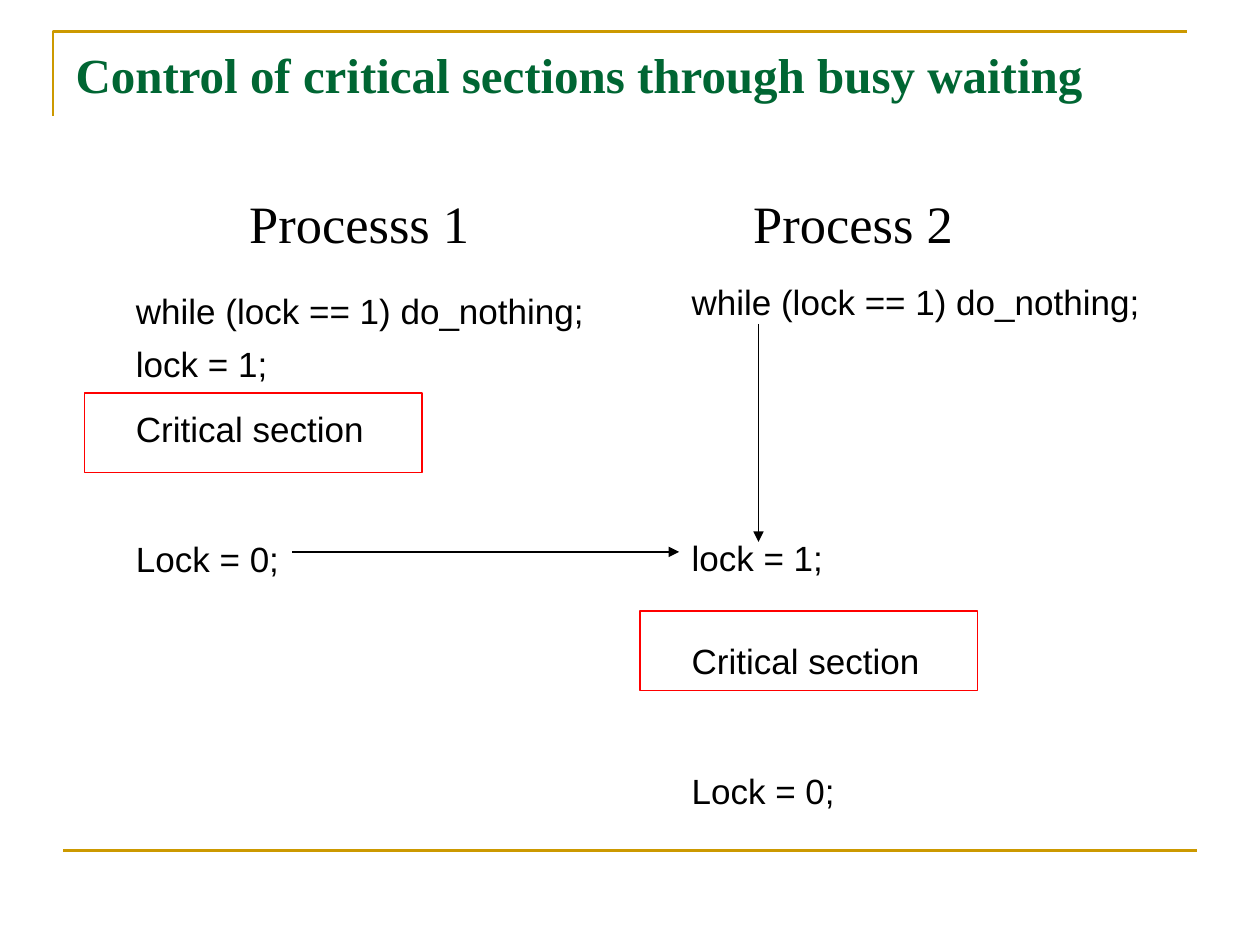
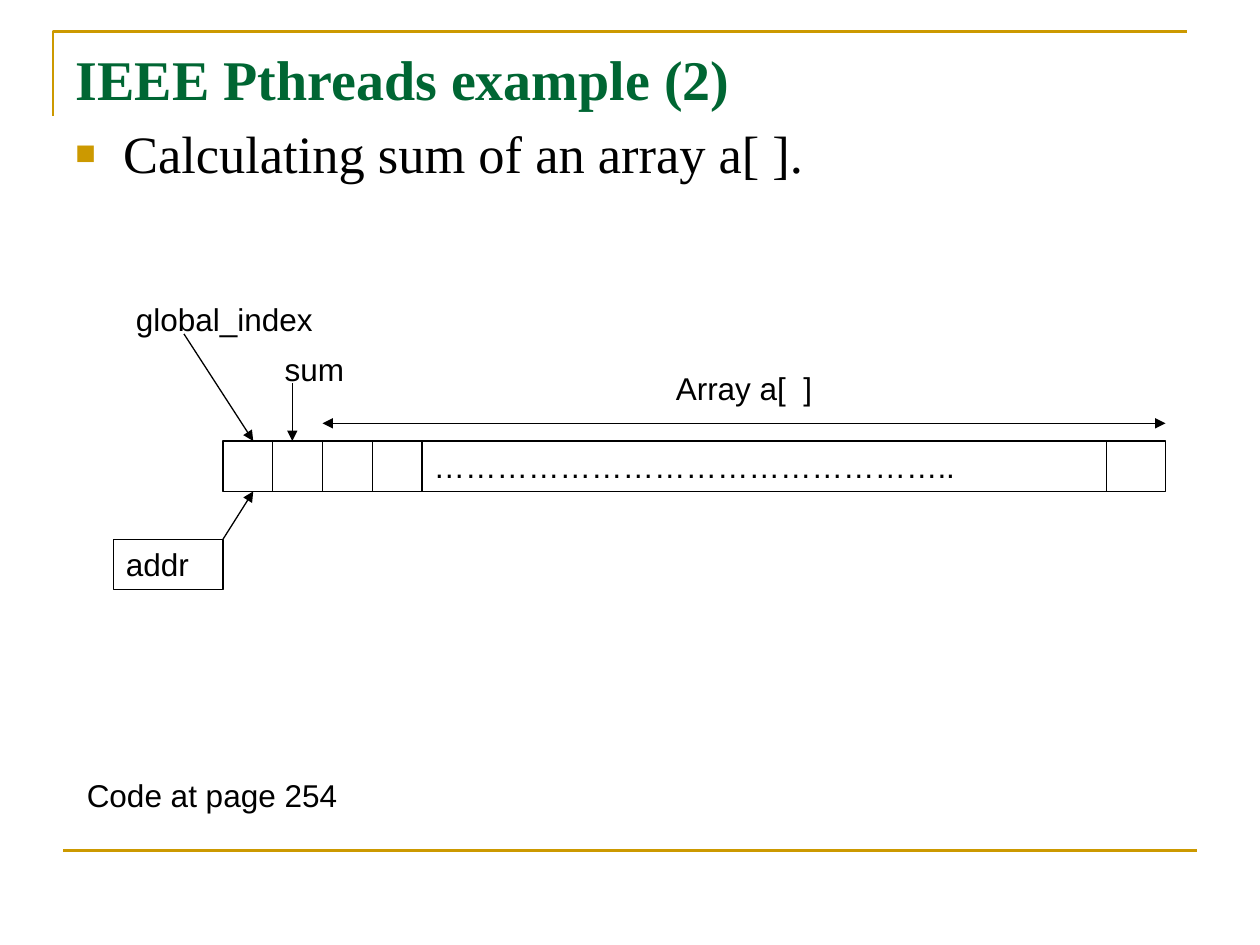
"""Build two slides on busy waiting and on a Pthreads array sum."""
from lxml import etree
from pptx import Presentation
from pptx.dml.color import RGBColor
from pptx.enum.shapes import MSO_CONNECTOR, MSO_SHAPE
from pptx.enum.text import MSO_ANCHOR, MSO_AUTO_SIZE, PP_ALIGN
from pptx.oxml.ns import qn
from pptx.util import Inches, Pt

STRAIGHT = MSO_CONNECTOR.STRAIGHT
RECTANGLE = MSO_SHAPE.RECTANGLE
LEFT, CENTER = PP_ALIGN.LEFT, PP_ALIGN.CENTER
TOP = MSO_ANCHOR.TOP
NO_AUTOFIT = MSO_AUTO_SIZE.NONE

COLORS = {"title": "006633", "accent": "CC9900", "text": "000000", "critical": "FF0000"}
SERIF, SANS = "Times New Roman", "Arial"
SLIDE_WIDTH, SLIDE_HEIGHT = 10, 7.5
MARGIN = SLIDE_WIDTH / 20
CONTENT_WIDTH = SLIDE_WIDTH - 2 * MARGIN
FRAME_LEFT, FRAME_TOP, FRAME_DROP = 0.42, 0.25, 0.67
INSET = 0.1
LABEL_HEIGHT = 0.4

BUSY_WAITING = {
    "title": ("Control of critical sections through busy waiting", 28),
    "processes": [
        {
            "name": "Processs 1", "name_left": 1.88, "left": 0.98, "top": 2.25,
            "height": 3.37, "critical_top": 3.12,
            "code": [("while (lock == 1) do_nothing;", 0), ("lock = 1;", 6),
                     ("Critical section", 13.5), ("Lock = 0;", 50)],
        },
        {
            "name": "Process 2", "name_left": 5.88, "left": 5.39, "top": 2.18,
            "height": 5.28, "critical_top": 4.85,
            "code": [("while (lock == 1) do_nothing;", 0), ("lock = 1;", 122),
                     ("Critical section", 35), ("Lock = 0;", 50)],
        },
    ],
    "arrows": [((2.32, 4.38), (5.39, 4.38)), ((6.02, 2.57), (6.02, 4.3))],
}

ARRAY_SUM = {
    "title": ("IEEE Pthreads example (2)", 32),
    "bullet": "Calculating sum of an array a[ ].",
    "memory": "…………………………………………..",
    "pointer": "addr",
    "array": "Array a[  ]",
    "labels": [("global_index", 0.98, 2.33, 2.12), ("sum", 2.16, 2.73, 1.02),
               ("Code at page 254", 0.59, 6.11, 8.82)],
}
ROW_LEFT, ROW_TOP, ROW_RIGHT = 1.77, 3.5, 9.25
CELL_WIDTH, LAST_CELL_WIDTH = 1.58 / 4, 0.47
POINTER_TOP, POINTER_WIDTH = 4.28, 0.87


def rgb(name):
    return RGBColor.from_string(COLORS[name])


def inches(*lengths):
    return [Inches(length) for length in lengths]


def write(shape, lines, size, font=SANS, color="text", align=LEFT, bold=False):
    """Fill a shape with (text, space before) lines in one style."""
    frame = shape.text_frame
    frame.word_wrap = True
    frame.auto_size = NO_AUTOFIT
    frame.vertical_anchor = TOP
    for index, (text, space_before) in enumerate(lines):
        paragraph = frame.paragraphs[0] if index == 0 else frame.add_paragraph()
        paragraph.text = text
        paragraph.alignment = align
        if space_before:
            paragraph.space_before = Pt(space_before)
        paragraph.font.size = Pt(size)
        paragraph.font.name = font
        paragraph.font.bold = bold
        paragraph.font.color.rgb = rgb(color)


def add_text(slide, box, lines, size, **style):
    shape = slide.shapes.add_textbox(*inches(*box))
    write(shape, lines, size, **style)
    return shape


def outline(shape, color, width=0.75):
    shape.shadow.inherit = False
    shape.fill.background()
    shape.line.color.rgb = rgb(color)
    shape.line.width = Pt(width)


def add_box(slide, box, color="text"):
    shape = slide.shapes.add_shape(RECTANGLE, *inches(*box))
    outline(shape, color)
    return shape


def add_line(slide, start, end, color="text", width=0.75, ends=()):
    """Draw a straight line with arrowheads at the named ends."""
    line = slide.shapes.add_connector(STRAIGHT, *inches(*start, *end))
    line.line.color.rgb = rgb(color)
    line.line.width = Pt(width)
    for end_name in ends:
        etree.SubElement(line.line._get_or_add_ln(), qn(f"a:{end_name}"), type="triangle")
    etree.SubElement(line._element.spPr, qn("a:effectLst"))


def add_bullet(paragraph):
    properties = paragraph._p.get_or_add_pPr()
    properties.set("marL", str(Inches(0.38)))
    properties.set("indent", str(-Inches(0.38)))
    color = etree.SubElement(properties, qn("a:buClr"))
    etree.SubElement(color, qn("a:srgbClr"), val=COLORS["accent"])
    etree.SubElement(properties, qn("a:buSzPct"), val="65000")
    etree.SubElement(properties, qn("a:buFont"), typeface=SANS)
    etree.SubElement(properties, qn("a:buChar"), char="■")


def add_slide(presentation, title, size):
    """Add a slide with the shared frame, bottom rule and title."""
    slide = presentation.slides.add_slide(presentation.slide_layouts[5])
    builder = slide.shapes.build_freeform(
        *inches(FRAME_LEFT, FRAME_TOP + FRAME_DROP), scale=1.0)
    builder.add_line_segments(
        [inches(FRAME_LEFT, FRAME_TOP), inches(FRAME_LEFT + CONTENT_WIDTH, FRAME_TOP)],
        close=False)
    outline(builder.convert_to_shape(), "accent", 1.5)
    rule_top = SLIDE_HEIGHT * 0.9
    add_line(slide, (MARGIN, rule_top), (SLIDE_WIDTH - MARGIN, rule_top), "accent", 1.5)
    heading = slide.shapes.title
    heading.left, heading.top, heading.width, heading.height = inches(
        MARGIN, 0.3, CONTENT_WIDTH, 1.25)
    write(heading, [(title, 0)], size, font=SERIF, color="title", bold=True)
    return slide


def build_busy_waiting(presentation):
    slide = add_slide(presentation, *BUSY_WAITING["title"])
    for process in BUSY_WAITING["processes"]:
        left = process["left"]
        add_text(slide, (process["name_left"], 1.47, 3, 0.63), [(process["name"], 0)],
                 30, font=SERIF)
        add_text(slide, (left, process["top"], 4.09, process["height"]), process["code"], 20)
        add_box(slide, (left - 0.31, process["critical_top"], 2.68, 0.63), "critical")
    for start, end in BUSY_WAITING["arrows"]:
        add_line(slide, start, end, ends=["tailEnd"])


def build_array_sum(presentation):
    slide = add_slide(presentation, *ARRAY_SUM["title"])
    bullet = add_text(slide, (MARGIN, 0.91, CONTENT_WIDTH, 0.79),
                      [(ARRAY_SUM["bullet"], 0)], 30, font=SERIF)
    add_bullet(bullet.text_frame.paragraphs[0])

    pointer = add_box(slide, (ROW_LEFT - POINTER_WIDTH, POINTER_TOP,
                              POINTER_WIDTH, LABEL_HEIGHT))
    write(pointer, [(ARRAY_SUM["pointer"], 0)], 18)
    memory = add_box(slide, (ROW_LEFT, ROW_TOP, ROW_RIGHT - ROW_LEFT, LABEL_HEIGHT))
    write(memory, [(ARRAY_SUM["memory"], 0)], 18, align=CENTER)

    row_bottom = ROW_TOP + LABEL_HEIGHT
    dividers = [ROW_LEFT + CELL_WIDTH * count for count in range(1, 5)]
    for x in dividers + [ROW_RIGHT - LAST_CELL_WIDTH]:
        add_line(slide, (x, ROW_TOP), (x, row_bottom))

    for text, left, top, width in ARRAY_SUM["labels"]:
        add_text(slide, (left, top, width, LABEL_HEIGHT), [(text, 0)], 18)
    array_left = dividers[1]
    add_text(slide, (array_left, 2.88, ROW_RIGHT - array_left, LABEL_HEIGHT),
             [(ARRAY_SUM["array"], 0)], 18, align=CENTER)
    add_line(slide, (array_left, 3.36), (ROW_RIGHT, 3.36), ends=["headEnd", "tailEnd"])

    first_cell = ROW_LEFT + 0.24
    for start, end in [((1.46, 2.65), (first_cell, ROW_TOP)),
                       ((2.32, 3.04), (2.32, ROW_TOP)),
                       ((ROW_LEFT, POINTER_TOP), (first_cell, row_bottom))]:
        add_line(slide, start, end, ends=["tailEnd"])


def main():
    presentation = Presentation()
    presentation.slide_width, presentation.slide_height = inches(SLIDE_WIDTH, SLIDE_HEIGHT)
    build_busy_waiting(presentation)
    build_array_sum(presentation)
    presentation.save("out.pptx")


if __name__ == "__main__":
    main()
